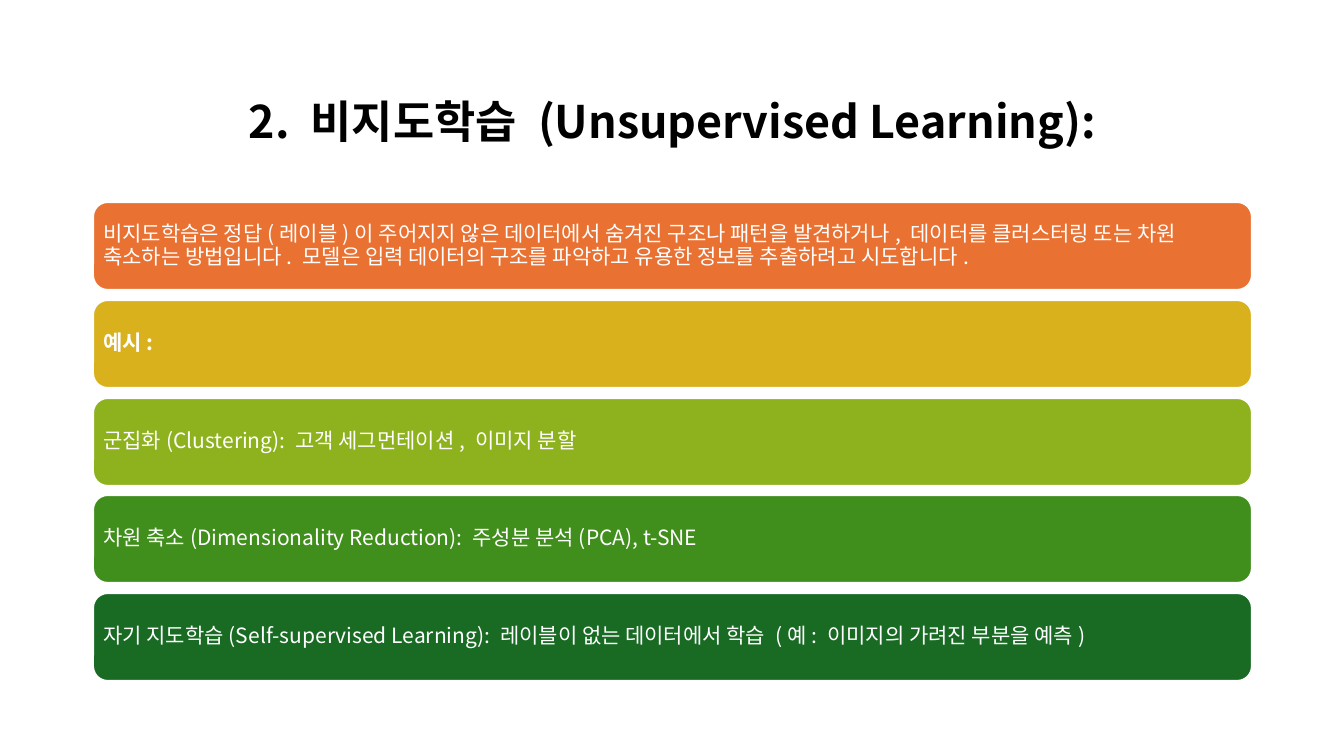
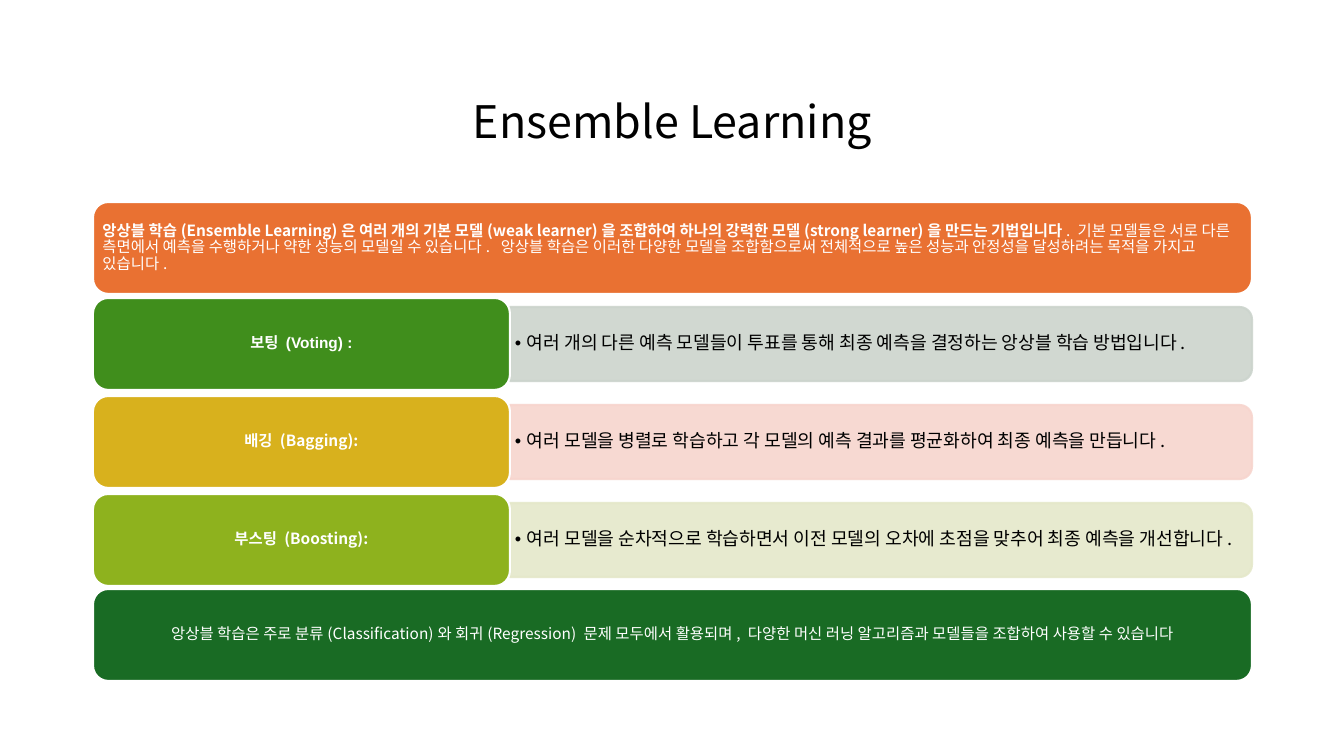
from lxml.etree import SubElement
from pptx import Presentation
from pptx.dml.color import RGBColor
from pptx.enum.shapes import MSO_SHAPE
from pptx.enum.text import MSO_ANCHOR, MSO_AUTO_SIZE, PP_ALIGN
from pptx.oxml.ns import qn
from pptx.util import Emu, Pt

# Colours
WHITE = RGBColor(0xFF, 0xFF, 0xFF)
BLACK = RGBColor(0x00, 0x00, 0x00)
ORANGE = RGBColor(0xE9, 0x71, 0x32)
GOLD = RGBColor(0xD8, 0xB1, 0x1D)
LIME = RGBColor(0x8E, 0xB2, 0x1E)
GREEN = RGBColor(0x40, 0x8E, 0x1C)
DARK_GREEN = RGBColor(0x19, 0x6B, 0x24)
PALE_GREY = RGBColor(0xCC, 0xD4, 0xCD)
PALE_PINK = RGBColor(0xF7, 0xD5, 0xCE)
PALE_LIME = RGBColor(0xE5, 0xE8, 0xCA)

# Shared fonts and grid, in px
FONT = "Noto Sans CJK KR"
LATIN_FONT = "Arial"
SLIDE_WIDTH, SLIDE_HEIGHT = 1344, 756
EMU_PER_PX = 12192000 / SLIDE_WIDTH
LEFT, TOP, BOTTOM, WIDTH = 93, 202, 681, 1159


def px(length):
    return Emu(round(length * EMU_PER_PX))


class Deck:
    """Holds the style and the current slide."""

    def __init__(self):
        self.presentation = Presentation()
        self.presentation.slide_width = px(SLIDE_WIDTH)
        self.presentation.slide_height = px(SLIDE_HEIGHT)
        self.slide = None

    def add_slide(self, title, bold=False):
        layout = self.presentation.slide_layouts[5]
        self.slide = self.presentation.slides.add_slide(layout)
        placeholder = self.slide.shapes.title
        placeholder.left, placeholder.top = px(LEFT), px(61)
        placeholder.width, placeholder.height = px(WIDTH), px(125)
        self.set_text(placeholder, [(title, bold)], 32, BLACK,
                      align=PP_ALIGN.CENTER, insets=(10, 5))

    def set_text(self, shape, runs, size, color, align=PP_ALIGN.LEFT,
                 insets=(5, 2), font=FONT):
        """Fill a shape with one paragraph of (text, bold) runs."""
        frame = shape.text_frame
        frame.word_wrap = True
        frame.auto_size = MSO_AUTO_SIZE.NONE
        frame.vertical_anchor = MSO_ANCHOR.MIDDLE
        frame.margin_left = frame.margin_right = px(insets[0])
        frame.margin_top = frame.margin_bottom = px(insets[1])
        paragraph = frame.paragraphs[0]
        paragraph.alignment = align
        paragraph.line_spacing = 0.9
        for text, bold in runs:
            run = paragraph.add_run()
            run.text = text
            run.font.size = Pt(size)
            run.font.bold = bold
            run.font.color.rgb = color
            run.font.name = font
            SubElement(run._r.get_or_add_rPr(), qn("a:ea"), typeface=FONT)
        return paragraph

    def add_box(self, preset, left, top, width, height, fill, line):
        shape = self.slide.shapes.add_shape(
            preset, px(left), px(top), px(width), px(height))
        shape.shadow.inherit = False
        shape.fill.solid()
        shape.fill.fore_color.rgb = fill
        shape.line.color.rgb = line
        shape.line.width = Pt(1.5)
        return shape

    def add_bar(self, top, width, height, fill, runs, size, **style):
        shape = self.add_box(MSO_SHAPE.ROUNDED_RECTANGLE,
                             LEFT, top, width, height, fill, WHITE)
        self.set_text(shape, runs, size, WHITE, **style)

    def add_panel(self, left, top, width, height, fill, text):
        """Pale panel, rounded on its right side, with a bulleted text."""
        shift = (width - height) // 2
        panel = self.add_box(MSO_SHAPE.ROUND_2_SAME_RECTANGLE, left + shift,
                             top - shift, height, width, fill, fill)
        panel.rotation = 90
        for color in panel.element.spPr.iter(qn("a:srgbClr")):
            SubElement(color, qn("a:alpha"), val="90000")

        box = self.slide.shapes.add_textbox(
            px(left), px(top + 4), px(width - 4), px(height - 8))
        paragraph = self.set_text(box, [(text, False)], 13, BLACK,
                                  insets=(5, 3))
        properties = paragraph._p.get_or_add_pPr()
        properties.set("marL", str(px(12)))
        properties.set("indent", str(px(-12)))
        SubElement(properties, qn("a:buFont"), typeface=LATIN_FONT)
        SubElement(properties, qn("a:buChar"), char="•")


def build_unsupervised(deck):
    deck.add_slide("2. 비지도학습 (Unsupervised Learning):", bold=True)
    bars = [
        (ORANGE, "비지도학습은 정답(레이블)이 주어지지 않은 데이터에서 숨겨진 구조나 "
                 "패턴을 발견하거나, 데이터를 클러스터링 또는 차원 축소하는 방법입니다. "
                 "모델은 입력 데이터의 구조를 파악하고 유용한 정보를 추출하려고 "
                 "시도합니다.", False),
        (GOLD, "예시:", True),
        (LIME, "군집화(Clustering): 고객 세그먼테이션, 이미지 분할", False),
        (GREEN, "차원 축소(Dimensionality Reduction): 주성분 분석(PCA), t-SNE", False),
        (DARK_GREEN, "자기 지도학습(Self-supervised Learning): 레이블이 없는 "
                     "데이터에서 학습 (예: 이미지의 가려진 부분을 예측)", False),
    ]
    height = 88
    pitch = (BOTTOM - TOP - height) / (len(bars) - 1)
    for index, (fill, text, bold) in enumerate(bars):
        deck.add_bar(round(TOP + index * pitch), WIDTH, height, fill,
                     [(text, bold)], 15, insets=(6, 6))


def build_ensemble(deck):
    deck.add_slide("Ensemble Learning")
    height, head_width, first_row, pitch = 92, 417, 298, 98

    # Definition
    deck.add_bar(TOP, WIDTH, height, ORANGE, [
        ("앙상블 학습(Ensemble Learning)은 여러 개의 기본 모델(weak learner)을 "
         "조합하여 하나의 강력한 모델(strong learner)을 만드는 기법입니다", True),
        (". 기본 모델들은 서로 다른 측면에서 예측을 수행하거나 약한 성능의 모델일 수 "
         "있습니다.  앙상블 학습은 이러한 다양한 모델을 조합함으로써 전체적으로 높은 "
         "성능과 안정성을 달성하려는 목적을 가지고 있습니다.", False),
    ], 11)

    # Methods: heading on the left, description on the right
    methods = [
        (GREEN, PALE_GREY, "보팅 (Voting) :", LATIN_FONT,
         "여러 개의 다른 예측 모델들이 투표를 통해 최종 예측을 결정하는 앙상블 학습 방법입니다."),
        (GOLD, PALE_PINK, "배깅 (Bagging):", FONT,
         "여러 모델을 병렬로 학습하고 각 모델의 예측 결과를 평균화하여 최종 예측을 만듭니다."),
        (LIME, PALE_LIME, "부스팅 (Boosting):", FONT,
         "여러 모델을 순차적으로 학습하면서 이전 모델의 오차에 초점을 맞추어 최종 예측을 개선합니다."),
    ]
    for index, (fill, pale, heading, font, text) in enumerate(methods):
        top = first_row + index * pitch
        deck.add_panel(LEFT + head_width, top + 9, 742, 74, pale, text)
        deck.add_bar(top, head_width, height, fill, [(heading, True)], 11,
                     align=PP_ALIGN.CENTER, font=font)

    # Use
    deck.add_bar(BOTTOM - height, WIDTH, height, DARK_GREEN, [
        ("앙상블 학습은 주로 분류(Classification)와 회귀(Regression) 문제 모두에서 "
         "활용되며, 다양한 머신 러닝 알고리즘과 모델들을 조합하여 사용할 수 있습니다", False),
    ], 11, align=PP_ALIGN.CENTER)


def main():
    deck = Deck()
    build_unsupervised(deck)
    build_ensemble(deck)
    deck.presentation.save("out.pptx")


if __name__ == "__main__":
    main()
